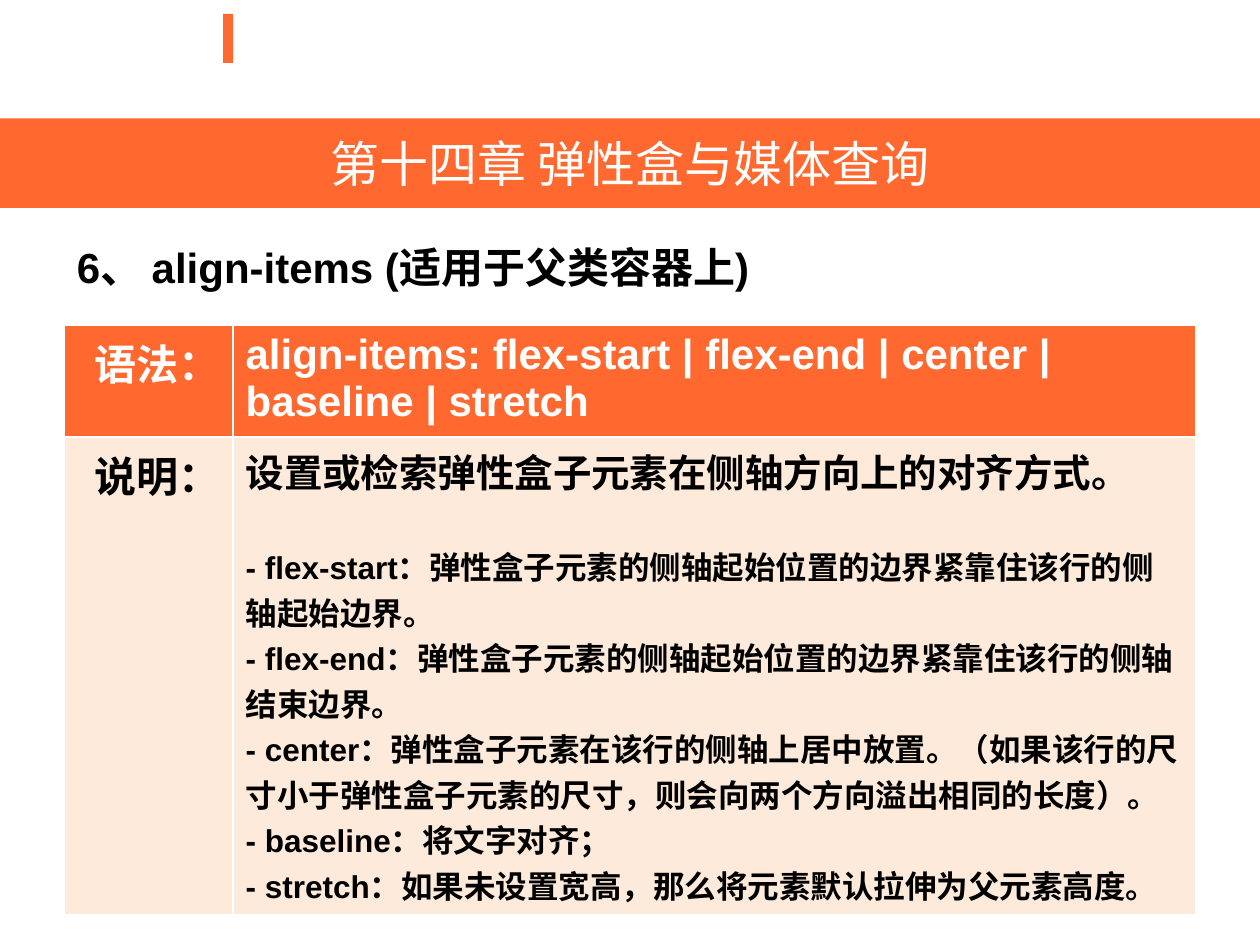
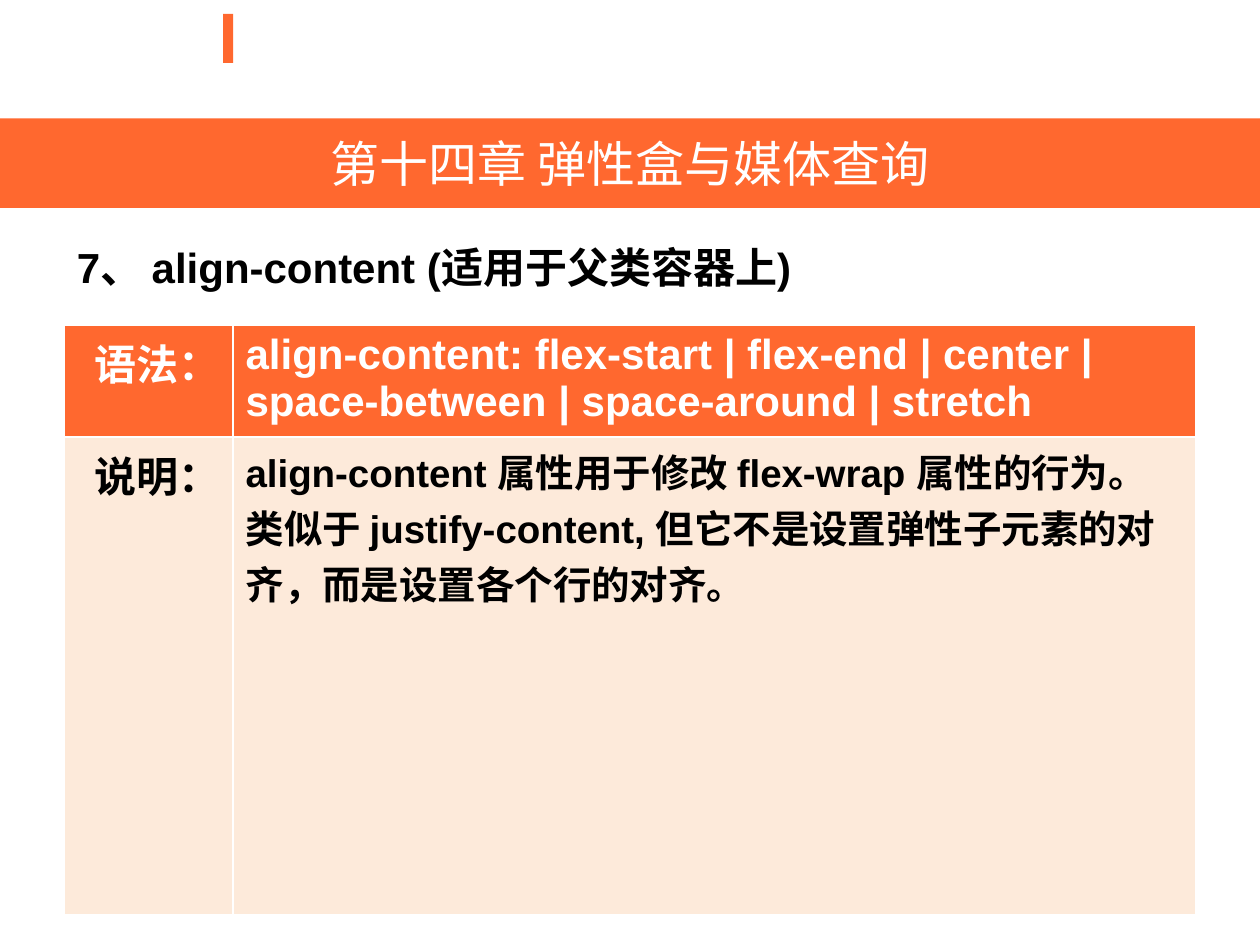
from pptx import Presentation
from pptx.dml.color import RGBColor
from pptx.enum.shapes import MSO_SHAPE
from pptx.enum.text import MSO_ANCHOR, MSO_AUTO_SIZE, PP_ALIGN
from pptx.oxml.ns import qn
from pptx.util import Inches, Pt

RECTANGLE = MSO_SHAPE.RECTANGLE
MIDDLE, TOP = MSO_ANCHOR.MIDDLE, MSO_ANCHOR.TOP
LEFT, CENTER, RIGHT = PP_ALIGN.LEFT, PP_ALIGN.CENTER, PP_ALIGN.RIGHT
NO_AUTOFIT = MSO_AUTO_SIZE.NONE

# Content
CHAPTER = "第十四章 弹性盒与媒体查询"
SYNTAX_LABEL, NOTES_LABEL = "语法：", "说明："
TOPICS = [
    {
        "heading": "6、 align-items (适用于父类容器上)",
        "syntax": "align-items: flex-start | flex-end | center | baseline | stretch",
        "summary": "设置或检索弹性盒子元素在侧轴方向上的对齐方式。",
        "values": [
            "- flex-start：弹性盒子元素的侧轴起始位置的边界紧靠住该行的侧轴起始边界。",
            "- flex-end：弹性盒子元素的侧轴起始位置的边界紧靠住该行的侧轴结束边界。",
            "- center：弹性盒子元素在该行的侧轴上居中放置。（如果该行的尺寸小于弹性盒子元素的尺寸，"
            "则会向两个方向溢出相同的长度）。",
            "- baseline：将文字对齐；",
            "- stretch：如果未设置宽高，那么将元素默认拉伸为父元素高度。",
        ],
    },
    {
        "heading": "7、 align-content (适用于父类容器上)",
        "syntax": "align-content: flex-start | flex-end | center | "
                  "space-between | space-around | stretch",
        "summary": "align-content 属性用于修改 flex-wrap 属性的行为。"
                   "类似于 justify-content, 但它不是设置弹性子元素的对齐，而是设置各个行的对齐。",
        "values": [],
    },
]

# Shared look, lengths in inches
COLORS = {"orange": "FF682F", "peach": "FDEADA", "white": "FFFFFF", "black": "000000"}
FONT = "Arial"
SLIDE_WIDTH, SLIDE_HEIGHT = 10, 7.5
MARGIN = 0.51
TICK = (1.77, 0.11, 0.08, 0.39)
BAND = (0, 0.94, SLIDE_WIDTH, 0.71)
BODY = (MARGIN, 1.87, 9, 4.72)
TABLE_TOP = 2.58
COLUMN_WIDTHS = (1.34, 7.64)
ROW_HEIGHTS = (0.89, 3.79)
SUMMARY_GAP = 25


def fill_with(part, color):
    part.fill.solid()
    part.fill.fore_color.rgb = RGBColor.from_string(COLORS[color])


def place(shape, box):
    shape.left, shape.top, shape.width, shape.height = map(Inches, box)


def write(paragraph, text, size=24, color="black", bold=True, align=LEFT, before=0, after=0):
    paragraph.alignment = align
    paragraph.space_before, paragraph.space_after = Pt(before), Pt(after)
    run = paragraph.add_run()
    run.text = text
    font = run.font
    font.name, font.size, font.bold = FONT, Pt(size), bold
    font.color.rgb = RGBColor.from_string(COLORS[color])


def remove_bullet(paragraph):
    properties = paragraph._p.get_or_add_pPr()
    properties.set("marL", "0")
    properties.set("indent", "0")
    properties.append(properties.makeelement(qn("a:buNone"), {}))


def add_frame(slide, heading):
    # Accent tick
    tick = slide.shapes.add_shape(RECTANGLE, *map(Inches, TICK))
    tick.shadow.inherit = False
    fill_with(tick, "orange")
    tick.line.fill.background()

    # Chapter band
    title = slide.shapes.title
    place(title, BAND)
    fill_with(title, "orange")
    title.text_frame.auto_size = NO_AUTOFIT
    title.text_frame.vertical_anchor = MIDDLE
    write(title.text_frame.paragraphs[0], CHAPTER, size=28, color="white",
          bold=False, align=CENTER)

    # Topic heading
    body = slide.placeholders[1]
    place(body, BODY)
    body.text_frame.auto_size = NO_AUTOFIT
    body.text_frame.vertical_anchor = TOP
    paragraph = body.text_frame.paragraphs[0]
    write(paragraph, heading, before=6)
    remove_bullet(paragraph)


def add_property_table(slide, topic):
    box = (MARGIN, TABLE_TOP, sum(COLUMN_WIDTHS), sum(ROW_HEIGHTS))
    table = slide.shapes.add_table(2, 2, *map(Inches, box)).table
    table.horz_banding = False
    for column, width in zip(table.columns, COLUMN_WIDTHS):
        column.width = Inches(width)
    for row, height, color in zip(table.rows, ROW_HEIGHTS, ("orange", "peach")):
        row.height = Inches(height)
        for cell in row.cells:
            fill_with(cell, color)

    # Labels and syntax
    for row, column, text, color, align in (
        (0, 0, SYNTAX_LABEL, "white", RIGHT),
        (0, 1, topic["syntax"], "white", LEFT),
        (1, 0, NOTES_LABEL, "black", RIGHT),
    ):
        paragraph = table.cell(row, column).text_frame.paragraphs[0]
        write(paragraph, text, color=color, align=align)

    # Explanation
    notes = table.cell(1, 1).text_frame
    gap = SUMMARY_GAP if topic["values"] else 0
    write(notes.paragraphs[0], topic["summary"], size=22, after=gap)
    for value in topic["values"]:
        write(notes.add_paragraph(), value, size=18)


def main():
    presentation = Presentation()
    presentation.slide_width = Inches(SLIDE_WIDTH)
    presentation.slide_height = Inches(SLIDE_HEIGHT)
    for topic in TOPICS:
        slide = presentation.slides.add_slide(presentation.slide_layouts[1])
        add_frame(slide, topic["heading"])
        add_property_table(slide, topic)
    presentation.save("out.pptx")


if __name__ == "__main__":
    main()
